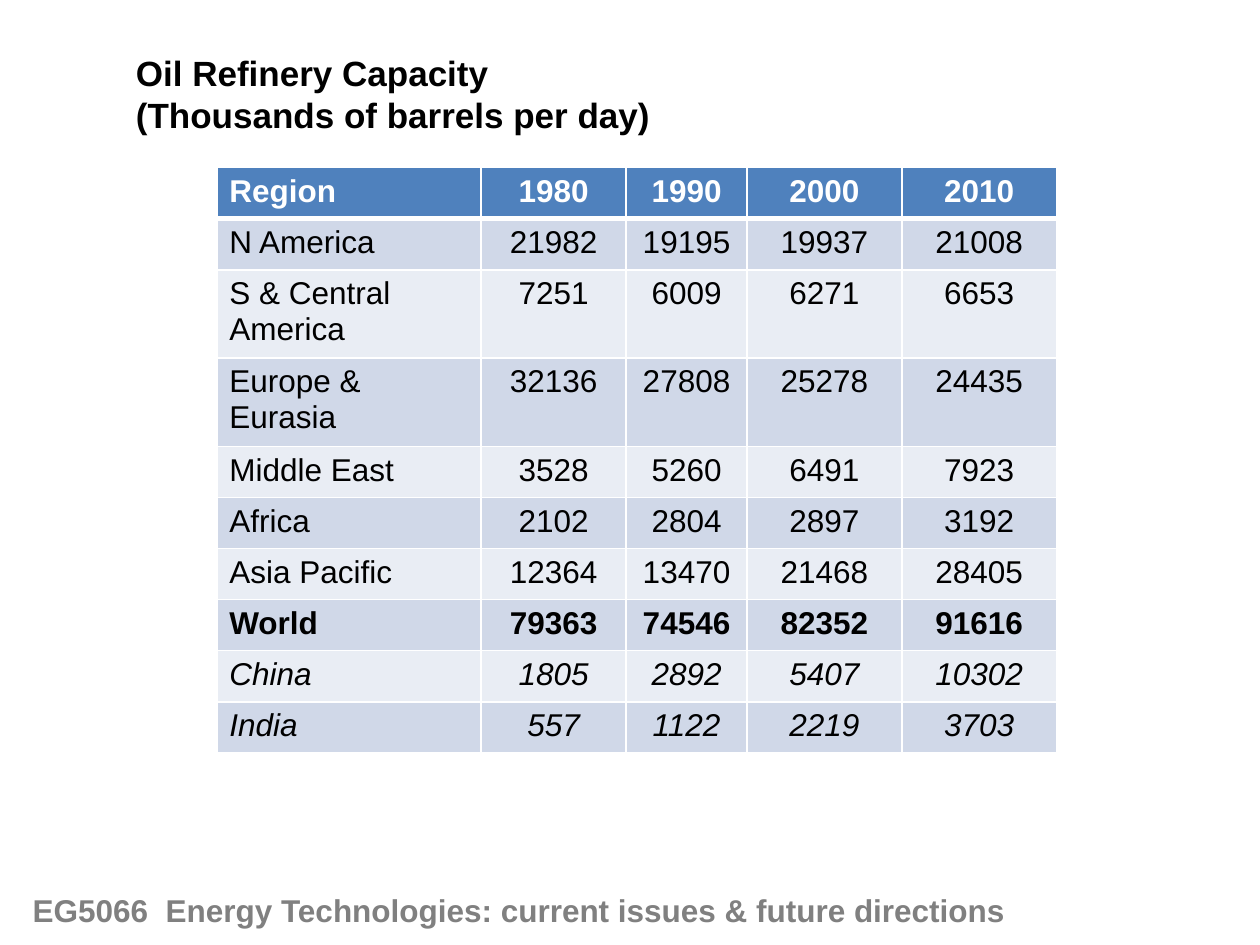
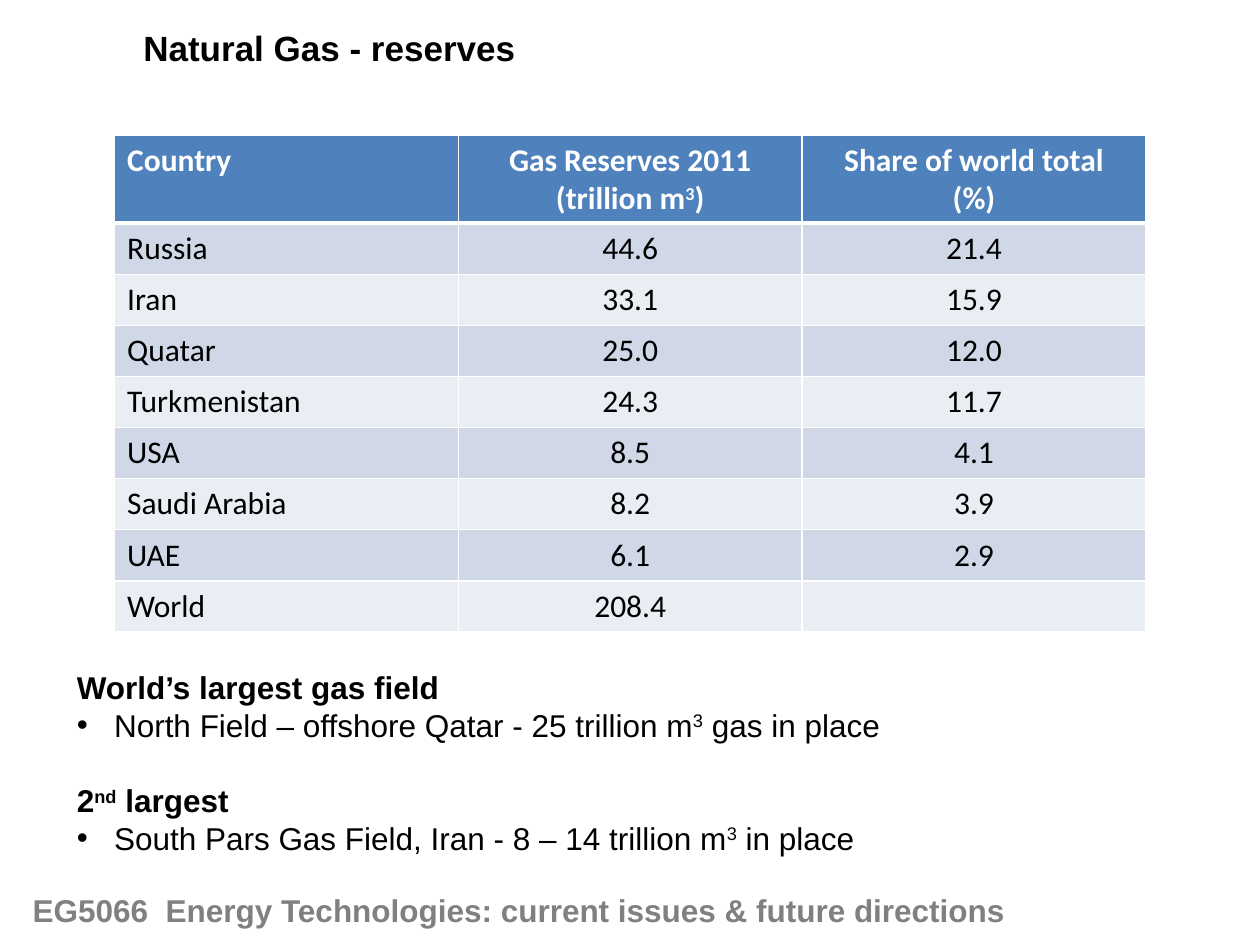
from dataclasses import dataclass
from lxml import etree
from pptx import Presentation
from pptx.dml.color import RGBColor
from pptx.enum.text import MSO_AUTO_SIZE, PP_ALIGN
from pptx.oxml.ns import qn
from pptx.util import Cm, Pt


@dataclass(frozen=True)
class Theme:
    ink = RGBColor(0x00, 0x00, 0x00)
    white = RGBColor(0xFF, 0xFF, 0xFF)
    grey = RGBColor(0x80, 0x80, 0x80)
    head = RGBColor(0x4F, 0x81, 0xBD)
    bands = (RGBColor(0xE9, 0xED, 0xF4), RGBColor(0xD0, 0xD8, 0xE8))
    font = "Arial"
    title = Pt(20)
    body = Pt(18)
    gap = Pt(21.5)
    row = Cm(1.03)
    indent = Cm(0.75)


theme = Theme()


def write(frame, text, size=theme.body, color=theme.ink, font=theme.font,
          bold=False, italic=False, align=None):
    """Fill a frame: one paragraph a line, ^x^ raised, "• " a bold-free bullet."""
    for n, line in enumerate(text.split("\n")):
        para = frame.paragraphs[0] if n == 0 else frame.add_paragraph()
        bullet = line.startswith("• ")
        if bullet:
            props = para._p.get_or_add_pPr()
            props.set("marL", str(theme.indent))
            props.set("indent", str(-theme.indent))
            etree.SubElement(props, qn("a:buFont")).set("typeface", theme.font)
            etree.SubElement(props, qn("a:buChar")).set("char", "•")
        para.alignment = align
        para.font.name, para.font.size = font, size
        para.font.bold, para.font.italic = bold and not bullet, italic
        para.font.color.rgb = color
        for k, part in enumerate(line.removeprefix("• ").split("^")):
            run = para.add_run()
            run.text = part
            if k % 2:
                run._r.get_or_add_rPr().set("baseline", "30000")


# Slide content
pages = [
    dict(
        title="Oil Refinery Capacity\n(Thousands of barrels per day)",
        spot=(2.49, 0.91, 10.95, 1.96),
        table=(4.37, 3.38, 11.79), font="Arial",
        cols=(5.33, 2.92, 2.44, 3.12, 3.12),
        rows=[
            ("Region", "1980", "1990", "2000", "2010"),
            ("N America", "21982", "19195", "19937", "21008"),
            ("S & Central America", "7251", "6009", "6271", "6653"),
            ("Europe & Eurasia", "32136", "27808", "25278", "24435"),
            ("Middle East", "3528", "5260", "6491", "7923"),
            ("Africa", "2102", "2804", "2897", "3192"),
            ("Asia Pacific", "12364", "13470", "21468", "28405"),
            ("World", "79363", "74546", "82352", "91616"),
            ("China", "1805", "2892", "5407", "10302"),
            ("India", "557", "1122", "2219", "3703"),
        ],
        bold=("World",), italic=("China", "India"),
    ),
    dict(
        title="Natural Gas - reserves",
        spot=(2.64, 0.41, 8.08, 1.12),
        table=(2.31, 2.72, 10.01), font="Calibri",
        cols=(6.93,) * 3,
        rows=[
            ("Country", "Gas Reserves 2011\n(trillion m^3^)",
             "Share of world total\n(%)"),
            ("Russia", "44.6", "21.4"),
            ("Iran", "33.1", "15.9"),
            ("Quatar", "25.0", "12.0"),
            ("Turkmenistan", "24.3", "11.7"),
            ("USA", "8.5", "4.1"),
            ("Saudi Arabia", "8.2", "3.9"),
            ("UAE", "6.1", "2.9"),
            ("World", "208.4", ""),
        ],
        bold=(), italic=(),
    ),
]
footer = "EG5066  Energy Technologies: current issues & future directions"
fields = ("World’s largest gas field\n"
          "• North Field – offshore Qatar - 25 trillion m^3^ gas in place\n"
          "2^nd^ largest\n"
          "• South Pars Gas Field, Iran - 8 – 14 trillion m^3^ in place")


def label(slide, spot, text, wrap=False, **style):
    """Add a text box at left, top, width, height in centimetres."""
    frame = slide.shapes.add_textbox(*map(Cm, spot)).text_frame
    frame.word_wrap = wrap
    frame.auto_size = MSO_AUTO_SIZE.SHAPE_TO_FIT_TEXT
    write(frame, text, **style)
    return frame


deck = Presentation()
deck.slide_width, deck.slide_height = Cm(25.4), Cm(19.05)

for page in pages:
    slide = deck.slides.add_slide(deck.slide_layouts[6])

    # Title and footer
    label(slide, page["spot"], page["title"], size=theme.title, bold=True)
    label(slide, (0.41, 17.83, 21.82, 1.02), footer, wrap=True,
          color=theme.grey, bold=True)

    # Table with its column widths and row heights
    rows, cols = page["rows"], page["cols"]
    left, top, high = map(Cm, page["table"])
    shape = slide.shapes.add_table(len(rows), len(cols), left, top,
                                   Cm(sum(cols)), high)
    grid = shape.table
    for col, wide in zip(grid.columns, cols):
        col.width = Cm(wide)
    for row in grid.rows:
        row.height = theme.row
    shape.height = high

    # Cells: white rules, banded fill, centred numbers
    for r, row in enumerate(rows):
        for c, text in enumerate(row):
            cell = grid.cell(r, c)
            props = cell._tc.get_or_add_tcPr()
            for side in ("lnL", "lnR", "lnT", "lnB"):
                thick = (r == 0 and side == "lnB") or (r == 1 and side == "lnT")
                line = etree.SubElement(props, qn(f"a:{side}"))
                line.set("w", str(Pt(3 if thick else 1)))
                paint = etree.SubElement(line, qn("a:solidFill"))
                etree.SubElement(paint, qn("a:srgbClr")).set("val", str(theme.white))
            cell.fill.solid()
            cell.fill.fore_color.rgb = theme.bands[r % 2] if r else theme.head
            if text:
                write(cell.text_frame, text, font=page["font"],
                      color=theme.ink if r else theme.white,
                      bold=r == 0 or row[0] in page["bold"],
                      italic=row[0] in page["italic"],
                      align=PP_ALIGN.CENTER if c else PP_ALIGN.LEFT)

# Gas field notes on the last slide
notes = label(slide, (1.3, 13.34, 16.89, 4.11), fields, bold=True)
notes.paragraphs[2].space_before = theme.gap

deck.save("out.pptx")
